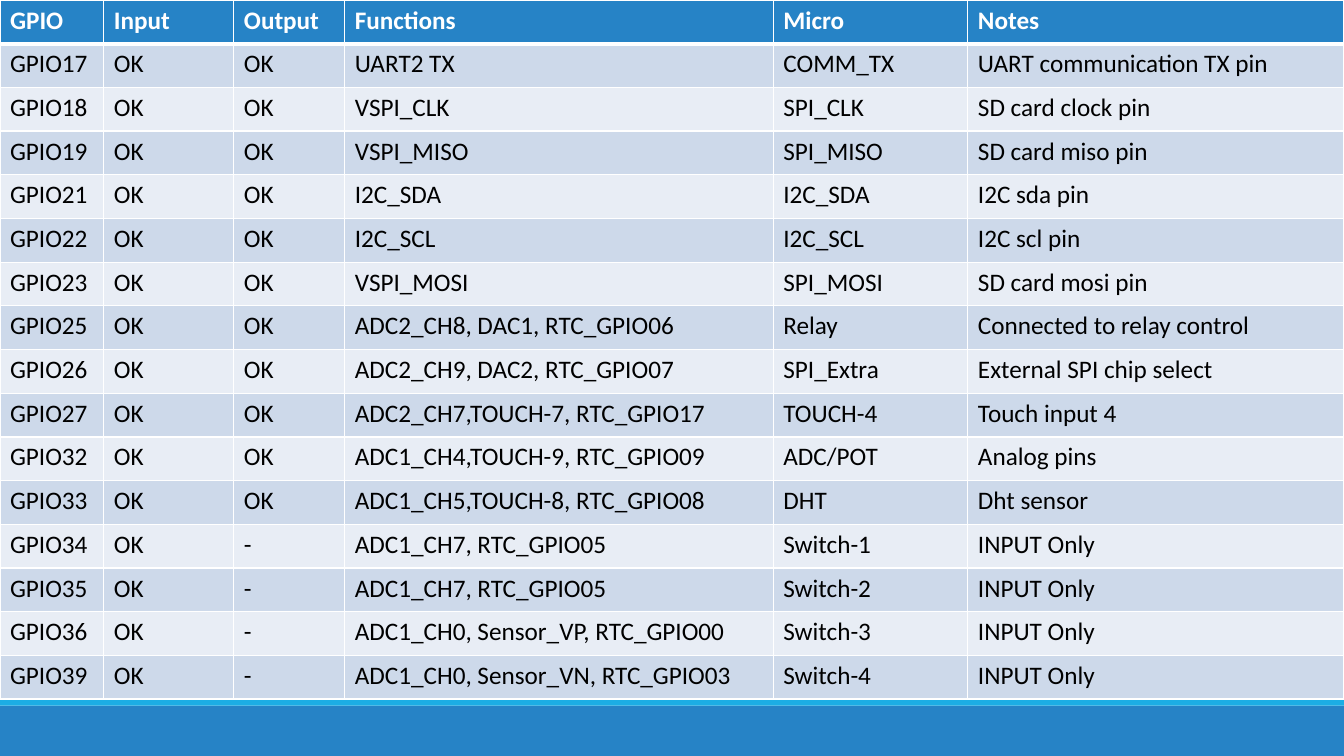
from dataclasses import dataclass
from lxml.etree import SubElement
from pptx import Presentation
from pptx.dml.color import RGBColor as Color
from pptx.enum.shapes import MSO_SHAPE as Shape
from pptx.oxml.ns import qn
from pptx.util import Inches, Pt


@dataclass
class Theme:
    font: str = "Calibri"
    size: int = 18
    header: str = "2683C6"
    accent: str = "1CADE4"
    bands: tuple = ("CDD9EA", "E8EDF5")
    light: str = "FFFFFF"
    dark: str = "000000"
    border: int = 1
    header_border: int = 3


theme = Theme()


def write_cell(cell, text, fill, color, bold=False, top=theme.border, bottom=theme.border):
    span = cell.text_frame.paragraphs[0].add_run()
    span.text = text
    span.font.name = theme.font
    span.font.size = Pt(theme.size)
    span.font.bold = bold
    span.font.color.rgb = Color.from_string(color)
    properties = cell._tc.get_or_add_tcPr()
    widths = {"a:lnL": theme.border, "a:lnR": theme.border, "a:lnT": top, "a:lnB": bottom}
    for side, width in widths.items():
        line = SubElement(properties, qn(side), w=str(Pt(width)))
        SubElement(SubElement(line, qn("a:solidFill")), qn("a:srgbClr"), val=theme.light)
    cell.fill.solid()
    cell.fill.fore_color.rgb = Color.from_string(fill)


headings = ("GPIO", "Input", "Output", "Functions", "Micro", "Notes")
column_widths = (1.03, 1.29, 1.1, 4.25, 1.93, 3.73)
pins = (
    (17, "OK", "UART2 TX", "COMM_TX", "UART communication TX pin"),
    (18, "OK", "VSPI_CLK", "SPI_CLK", "SD card clock pin"),
    (19, "OK", "VSPI_MISO", "SPI_MISO", "SD card miso pin"),
    (21, "OK", "I2C_SDA", "I2C_SDA", "I2C sda pin"),
    (22, "OK", "I2C_SCL", "I2C_SCL", "I2C scl pin"),
    (23, "OK", "VSPI_MOSI", "SPI_MOSI", "SD card mosi pin"),
    (25, "OK", "ADC2_CH8, DAC1, RTC_GPIO06", "Relay", "Connected to relay control"),
    (26, "OK", "ADC2_CH9, DAC2, RTC_GPIO07", "SPI_Extra", "External SPI chip select"),
    (27, "OK", "ADC2_CH7,TOUCH-7, RTC_GPIO17", "TOUCH-4", "Touch input 4"),
    (32, "OK", "ADC1_CH4,TOUCH-9, RTC_GPIO09", "ADC/POT", "Analog pins"),
    (33, "OK", "ADC1_CH5,TOUCH-8, RTC_GPIO08", "DHT", "Dht sensor"),
    (34, "-", "ADC1_CH7, RTC_GPIO05", "Switch-1", "INPUT Only"),
    (35, "-", "ADC1_CH7, RTC_GPIO05", "Switch-2", "INPUT Only"),
    (36, "-", "ADC1_CH0, Sensor_VP, RTC_GPIO00", "Switch-3", "INPUT Only"),
    (39, "-", "ADC1_CH0, Sensor_VN, RTC_GPIO03", "Switch-4", "INPUT Only"),
)

deck = Presentation()
deck.slide_width = Inches(13.33)
deck.slide_height = Inches(7.5)
page = deck.slides.add_slide(deck.slide_layouts[6])

for top, height, color in ((7, 0.5, theme.header), (6.93, 0.07, theme.accent)):
    bar = page.shapes.add_shape(Shape.RECTANGLE, 0, Inches(top), deck.slide_width, Inches(height))
    bar.shadow.inherit = False
    bar.fill.solid()
    bar.fill.fore_color.rgb = Color.from_string(color)
    bar.line.fill.background()

pin_table = page.shapes.add_table(
    len(pins) + 1, len(headings), 0, 0, deck.slide_width, Inches(6.94)
).table
for column, width in zip(pin_table.columns, column_widths):
    column.width = Inches(width)

for index, heading in enumerate(headings):
    write_cell(pin_table.cell(0, index), heading, theme.header, theme.light,
               bold=True, bottom=theme.header_border)

for row, (number, output, *details) in enumerate(pins, start=1):
    top = theme.header_border if row == 1 else theme.border
    for index, text in enumerate((f"GPIO{number}", "OK", output, *details)):
        write_cell(pin_table.cell(row, index), text, theme.bands[(row - 1) % 2], theme.dark, top=top)

deck.save("out.pptx")
